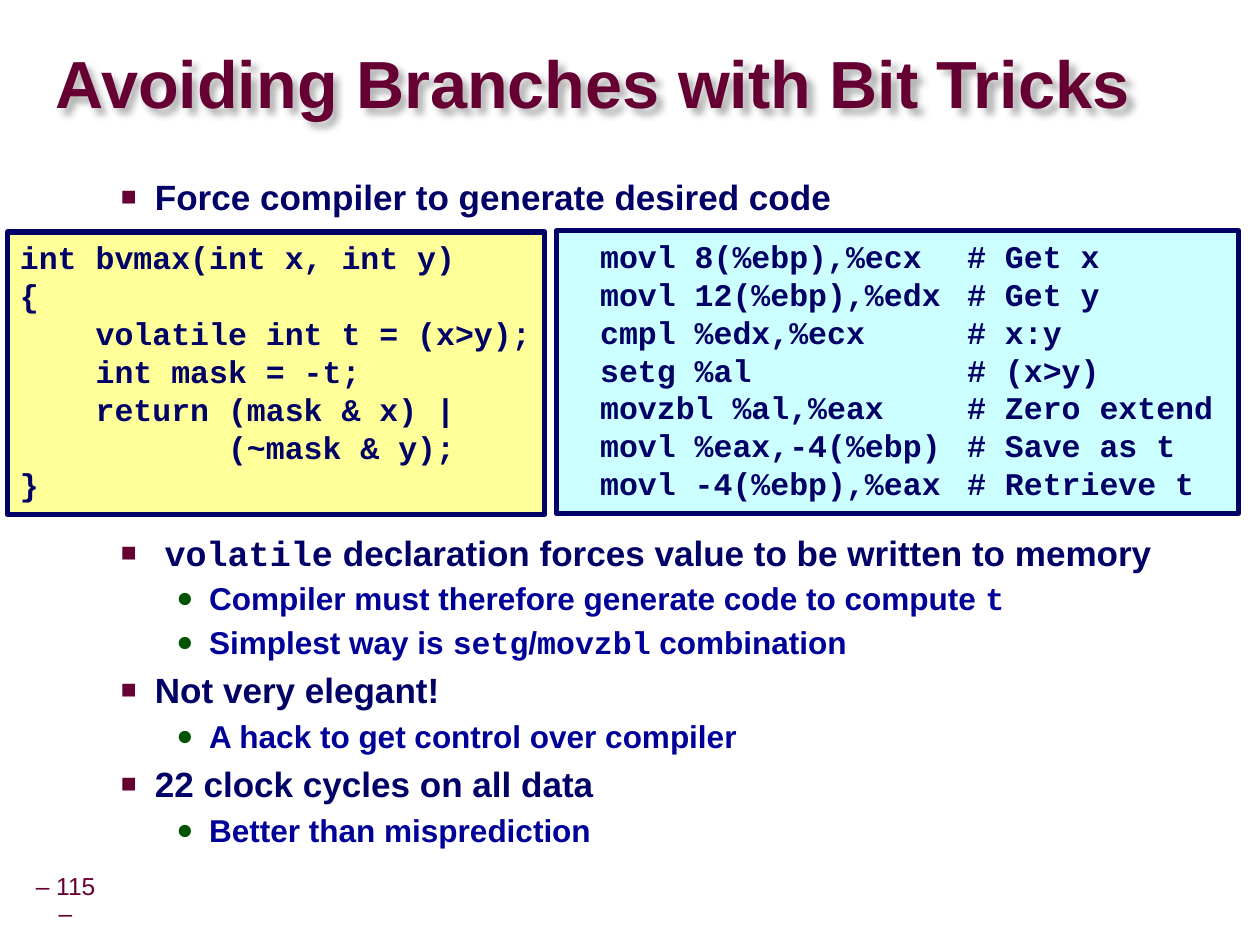
import pptx
import pptx.util
import pptx.dml.color
import pptx.enum.shapes
import pptx.enum.text
import pptx.oxml
import pptx.oxml.ns
from lxml import etree

Inches, Pt = pptx.util.Inches, pptx.util.Pt
ANCHOR = pptx.enum.text.MSO_ANCHOR
ALIGN = pptx.enum.text.PP_ALIGN

COLORS = {"maroon": "660033", "navy": "000066", "blue": "000099", "green": "005400",
          "yellow": "FFFF99", "cyan": "CCFFFF", "shadow": "000000"}
SANS, MONO = "Arial", "Courier New"

LEVELS = {
    1: {"char": "■", "bullet": "maroon", "pct": 75, "left": 0.81, "indent": -0.27,
        "before": 4.7, "spacing": 1.0, "size": 20, "color": "navy"},
    2: {"char": "●", "bullet": "green", "pct": 90, "left": 1.24, "indent": -0.26,
        "before": 1.8, "spacing": 1.07, "size": 18, "color": "blue"},
}

# Runs alternate between the sans font and the code font.
GOAL = [(1, ["Force compiler to generate desired code"])]
REMARKS = [
    (1, [" ", "volatile", " declaration forces value to be written to memory"]),
    (2, ["Compiler must therefore generate code to compute ", "t"]),
    (2, ["Simplest way is ", "setg", "/", "movzbl", " combination"]),
    (1, ["Not very elegant!"]),
    (2, ["A hack to get control over compiler"]),
    (1, ["22 clock cycles on all data"]),
    (2, ["Better than misprediction"]),
]

C_CODE = """int bvmax(int x, int y)
{
    volatile int t = (x>y);
    int mask = -t;
    return (mask & x) |
           (~mask & y);
}"""

ASSEMBLY = [
    ("movl 8(%ebp),%ecx", "# Get x"),
    ("movl 12(%ebp),%edx", "# Get y"),
    ("cmpl %edx,%ecx", "# x:y"),
    ("setg %al", "# (x>y)"),
    ("movzbl %al,%eax", "# Zero extend"),
    ("movl %eax,-4(%ebp)", "# Save as t"),
    ("movl -4(%ebp),%eax", "# Retrieve t"),
]


def rgb(name):
    return pptx.dml.color.RGBColor.from_string(COLORS[name])


def add_xml(parent, tag, **attrs):
    child = etree.SubElement(parent, pptx.oxml.ns.qn(tag))
    for key, value in attrs.items():
        child.set(key, str(value))
    return child


def add_run(p, text, color, **font):
    r = p.add_run()
    r.text = text
    for key, value in font.items():
        setattr(r.font, key, value)
    r.font.color.rgb = rgb(color)


def set_frame(tf, inset_x=0.1, inset_y=0.05, **settings):
    values = {"margin_left": Inches(inset_x), "margin_right": Inches(inset_x),
              "margin_top": Inches(inset_y), "margin_bottom": Inches(inset_y),
              "word_wrap": True, **settings}
    for key, value in values.items():
        setattr(tf, key, value)


def add_text(s, box, **frame):
    sp = s.shapes.add_textbox(*map(Inches, box))
    set_frame(sp.text_frame, **frame)
    return sp


def add_title(s, box, text):
    sp = add_text(s, box, inset_x=0, inset_y=0, vertical_anchor=ANCHOR.MIDDLE)
    p = sp.text_frame.paragraphs[0]
    p.line_spacing = 0.87
    add_run(p, text, "maroon", name=SANS, size=Pt(38), bold=True)
    effects = add_xml(sp.fill._xPr, "a:effectLst")
    shadow = add_xml(effects, "a:outerShdw", blurRad=Pt(4), dist=Pt(4),
                     dir=2700000, algn="tl", rotWithShape=0)
    color = add_xml(shadow, "a:srgbClr", val=COLORS["shadow"])
    add_xml(color, "a:alpha", val=30000)


def add_bullets(s, box, items):
    tf = add_text(s, box).text_frame
    for i, (level, texts) in enumerate(items):
        style = LEVELS[level]
        p = tf.paragraphs[0] if i == 0 else tf.add_paragraph()
        p.level = level - 1
        ppr = p._p.get_or_add_pPr()
        ppr.set("marL", str(Inches(style["left"])))
        ppr.set("indent", str(Inches(style["indent"])))
        add_xml(add_xml(ppr, "a:buClr"), "a:srgbClr", val=COLORS[style["bullet"]])
        add_xml(ppr, "a:buSzPct", val=style["pct"] * 1000)
        add_xml(ppr, "a:buFont", typeface=SANS)
        add_xml(ppr, "a:buChar", char=style["char"])
        p.line_spacing = style["spacing"]
        if i:
            p.space_before = Pt(style["before"])
        for j, text in enumerate(texts):
            add_run(p, text, style["color"], name=MONO if j % 2 else SANS,
                    size=Pt(style["size"]), bold=True)


def add_code(s, box, lines, fill, tabs=(), wrap=True):
    sp = s.shapes.add_shape(pptx.enum.shapes.MSO_SHAPE.RECTANGLE, *map(Inches, box))
    sp.shadow.inherit = False
    sp.fill.solid()
    sp.fill.fore_color.rgb = rgb(fill)
    sp.line.color.rgb = rgb("navy")
    sp.line.width = Pt(3)
    tf = sp.text_frame
    set_frame(tf, word_wrap=wrap, vertical_anchor=ANCHOR.TOP)
    for i, line in enumerate(lines):
        p = tf.paragraphs[0] if i == 0 else tf.add_paragraph()
        if tabs:
            tab_list = add_xml(p._p.get_or_add_pPr(), "a:tabLst")
            for pos in tabs:
                add_xml(tab_list, "a:tab", pos=Inches(pos), algn="l")
        p.alignment = ALIGN.LEFT
        add_run(p, line, "navy", name=MONO, size=Pt(18), bold=True)


def add_page_number(s, box, text):
    sp = add_text(s, box, inset_x=0.05, vertical_anchor=ANCHOR.MIDDLE)
    p = sp.text_frame.paragraphs[0]
    p.alignment = ALIGN.CENTER
    p.line_spacing = 0.9
    add_run(p, text, "maroon", name=SANS, size=Pt(14))


def main():
    prs = pptx.Presentation()
    prs.slide_width, prs.slide_height = Inches(9.99), Inches(7.49)
    s = prs.slides.add_slide(prs.slide_layouts[6])
    add_page_number(s, (0.18, 6.98, 0.68, 0.32), "– 115 –")
    add_title(s, (0.44, 0.27, 9.52, 0.85), "Avoiding Branches with Bit Tricks")
    add_bullets(s, (0.32, 1.34, 9.07, 0.42), GOAL)
    add_bullets(s, (0.32, 4.16, 9.07, 2.65), REMARKS)
    add_code(s, (0.06, 1.84, 4.26, 2.24), C_CODE.splitlines(), "yellow", wrap=False)
    add_code(s, (4.41, 1.83, 5.41, 2.24),
             [f"\t{op}\t{note}" for op, note in ASSEMBLY], "cyan", tabs=(0.25, 3.16))
    prs.save("out.pptx")


if __name__ == "__main__":
    main()
